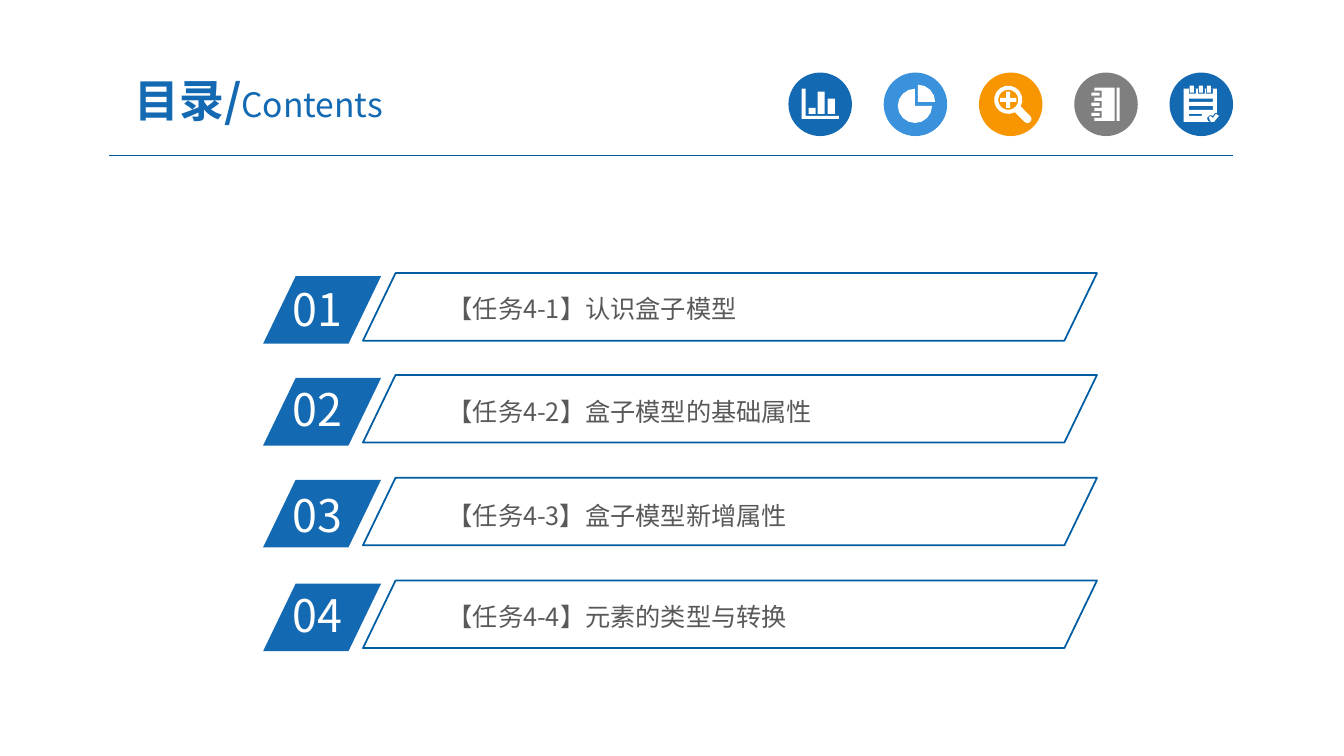
import math

import pptx
import pptx.dml.color
import pptx.enum.shapes
import pptx.enum.text
import pptx.oxml.ns
import pptx.util
from lxml import etree
from pptx.util import Inches

COLORS = {"blue": "1369B2", "sky": "3992DB", "orange": "F79600", "gray": "7F7F7F",
          "rule": "005B9E", "outline": "005DA2", "label": "595959", "white": "FFFFFF"}
FONT = "Noto Sans CJK SC"
TITLE = [("目录/", {"size": 32, "bold": True}), ("Contents", {"size": 24, "bold": False})]
TASKS = [
    {"number": "01", "task": "【任务4-1】认识盒子模型", "task_width": 4.12,
     "tag_top": 2.74, "number_top": 2.75, "task_top": 2.87, "banner_top": 2.71},
    {"number": "02", "task": "【任务4-2】盒子模型的基础属性", "task_width": 4.12,
     "tag_top": 3.75, "number_top": 3.74, "task_top": 3.89, "banner_top": 3.72},
    {"number": "03", "task": "【任务4-3】盒子模型新增属性", "task_width": 4.57,
     "tag_top": 4.76, "number_top": 4.79, "task_top": 4.92, "banner_top": 4.74},
    {"number": "04", "task": "【任务4-4】元素的类型与转换", "task_width": 4.12,
     "tag_top": 5.79, "number_top": 5.78, "task_top": 5.93, "banner_top": 5.76},
]
RULE = {"left": 1.08, "right": 12.23, "y": 1.54}
BADGE = {"left": 7.82, "top": 0.72, "size": 0.63}
NUMBER_MARGINS = (0.1, 0.05)
TASK_MARGINS = (0.07, 0.04)
TITLE_MARGINS = (0.13, 0.07)
SKEW = 0.482


def arc(x, y, radius, start, end):
    steps = max(1, round(abs(end - start) / 22))
    angles = [math.radians(start + (end - start) * i / steps) for i in range(steps + 1)]
    return [(x + radius * math.cos(a), y + radius * math.sin(a)) for a in angles]


def bar(x, y, width, height):
    return [(x, y), (x + width, y), (x + width, y + height), (x, y + height)]


def plus(x, y, reach, half):
    quarter = [(half, -reach), (half, -half), (reach, -half)]
    points = []
    for _ in range(4):
        points += [(x + dx, y + dy) for dx, dy in quarter]
        quarter = [(-dy, dx) for dx, dy in quarter]
    return points


def bar_chart():
    axes = [(0.13, 0.16), (0.17, 0.16), (0.17, 0.43), (0.5, 0.43), (0.5, 0.46), (0.13, 0.46)]
    columns = [(0.2, 0.35), (0.29, 0.19), (0.39, 0.26)]
    return [axes] + [bar(x, y, 0.07, 0.41 - y) for x, y in columns]


def pie_chart():
    return [[(0.34, 0.29)] + arc(0.34, 0.29, 0.17, -90, 0),
            [(0.31, 0.33)] + arc(0.31, 0.33, 0.17, 0, 270)]


def magnifier():
    return [arc(0.29, 0.27, 0.14, 62, 388) + arc(0.48, 0.46, 0.04, -45, 135),
            arc(0.29, 0.27, 0.1, 0, 360), plus(0.29, 0.27, 0.08, 0.02)]


def notebook():
    contours = [bar(0.42, 0.15, 0.03, 0.33), bar(0.2, 0.15, 0.2, 0.33)]
    for y in (0.21, 0.31, 0.41):
        contours += [bar(0.2, y - 0.03, 0.07, 0.07), bar(0.17, y - 0.01, 0.08, 0.03)]
    return contours


def checklist():
    page = [(0.14, 0.16), (0.47, 0.16), (0.47, 0.4), (0.45, 0.4), (0.43, 0.43), (0.4, 0.42),
            (0.37, 0.45), (0.38, 0.48), (0.4, 0.49), (0.14, 0.49)]
    tick = [(0.39, 0.45), (0.4, 0.43), (0.43, 0.45), (0.46, 0.41), (0.49, 0.43),
            (0.44, 0.49), (0.41, 0.49)]
    lines = [(0.26, 0.24, 0.03), (0.33, 0.24, 0.04), (0.41, 0.13, 0.02)]
    contours = [page, tick] + [bar(0.19, y, width, height) for y, width, height in lines]
    for x in (0.22, 0.31, 0.39):
        contours += [bar(x - 0.03, 0.16, 0.07, 0.05), bar(x - 0.02, 0.13, 0.04, 0.07)]
    return contours


BADGES = [("blue", bar_chart), ("sky", pie_chart), ("orange", magnifier),
          ("gray", notebook), ("blue", checklist)]


def rgb(name):
    return pptx.dml.color.RGBColor.from_string(COLORS[name])


def paint(shape, fill=None, line=None):
    shape.shadow.inherit = False
    if fill:
        shape.fill.solid()
        shape.fill.fore_color.rgb = rgb(fill)
    else:
        shape.fill.background()
    if line:
        shape.line.color.rgb = rgb(line)
        shape.line.width = pptx.util.Pt(1.25)
    else:
        shape.line.fill.background()


def add_preset(slide, kind, place, fill=None, line=None):
    preset = getattr(pptx.enum.shapes.MSO_SHAPE, kind)
    shape = slide.shapes.add_shape(preset, *map(Inches, place))
    paint(shape, fill, line)
    return shape


def add_text(slide, place, runs, color, margins, frame_format):
    frame = slide.shapes.add_textbox(*map(Inches, place)).text_frame
    across, down = map(Inches, margins)
    layout = {"margin_left": across, "margin_right": across, "margin_top": down,
              "margin_bottom": down, "word_wrap": True, **frame_format}
    for key, value in layout.items():
        setattr(frame, key, value)
    paragraph = frame.paragraphs[0]
    for text, style in runs:
        run = paragraph.add_run()
        run.text = text
        for key, value in {**style, "name": FONT, "size": pptx.util.Pt(style["size"])}.items():
            setattr(run.font, key, value)
        run.font.color.rgb = rgb(color)
        east_asian = etree.SubElement(run.font._element, pptx.oxml.ns.qn("a:ea"))
        east_asian.set("typeface", FONT)
    return paragraph


def add_icon(slide, contours, left, top):
    placed = [[(Inches(left + x), Inches(top + y)) for x, y in points] for points in contours]
    builder = slide.shapes.build_freeform(*placed[0][0])
    for index, points in enumerate(placed):
        if index:
            builder.move_to(*points[0])
        builder.add_line_segments(points[1:], close=True)
    paint(builder.convert_to_shape(), "white")


def add_header(slide):
    rule = slide.shapes.add_connector(
        pptx.enum.shapes.MSO_CONNECTOR.STRAIGHT,
        *map(Inches, (RULE["left"], RULE["y"], RULE["right"], RULE["y"])))
    rule.line.color.rgb = rgb("rule")
    rule.line.width = pptx.util.Pt(0.75)
    etree.SubElement(rule._element.spPr, pptx.oxml.ns.qn("a:effectLst"))
    size, top = BADGE["size"], BADGE["top"]
    pitch = (RULE["right"] - size - BADGE["left"]) / (len(BADGES) - 1)
    for index, (color, icon) in enumerate(BADGES):
        left = BADGE["left"] + index * pitch
        add_preset(slide, "OVAL", (left, top, size, size), color)
        add_icon(slide, icon(), left, top)
    title = add_text(slide, (0.92, 0.63, 3.29, 0.72), TITLE, "blue", TITLE_MARGINS,
                     {"vertical_anchor": pptx.enum.text.MSO_ANCHOR.MIDDLE})
    title.alignment = pptx.enum.text.PP_ALIGN.CENTER


def add_task(slide, row):
    grow = {"auto_size": pptx.enum.text.MSO_AUTO_SIZE.SHAPE_TO_FIT_TEXT}
    tag = add_preset(slide, "PARALLELOGRAM", (2.61, row["tag_top"], 1.17, 0.67), "blue")
    add_text(slide, (2.8, row["number_top"], 1.12, 0.64), [(row["number"], {"size": 32})],
             "white", NUMBER_MARGINS, grow)
    add_text(slide, (4.37, row["task_top"], row["task_width"], 0.38),
             [(row["task"], {"size": 18})], "label", TASK_MARGINS, grow)
    banner = add_preset(slide, "PARALLELOGRAM", (3.6, row["banner_top"], 7.28, 0.67), line="outline")
    for shape in (tag, banner):
        shape.adjustments[0] = SKEW


def main():
    """Build the contents slide and save it."""
    deck = pptx.Presentation()
    deck.slide_width, deck.slide_height = Inches(13.33), Inches(7.5)
    slide = deck.slides.add_slide(deck.slide_layouts[6])
    add_header(slide)
    for row in TASKS:
        add_task(slide, row)
    deck.save("out.pptx")


if __name__ == "__main__":
    main()
